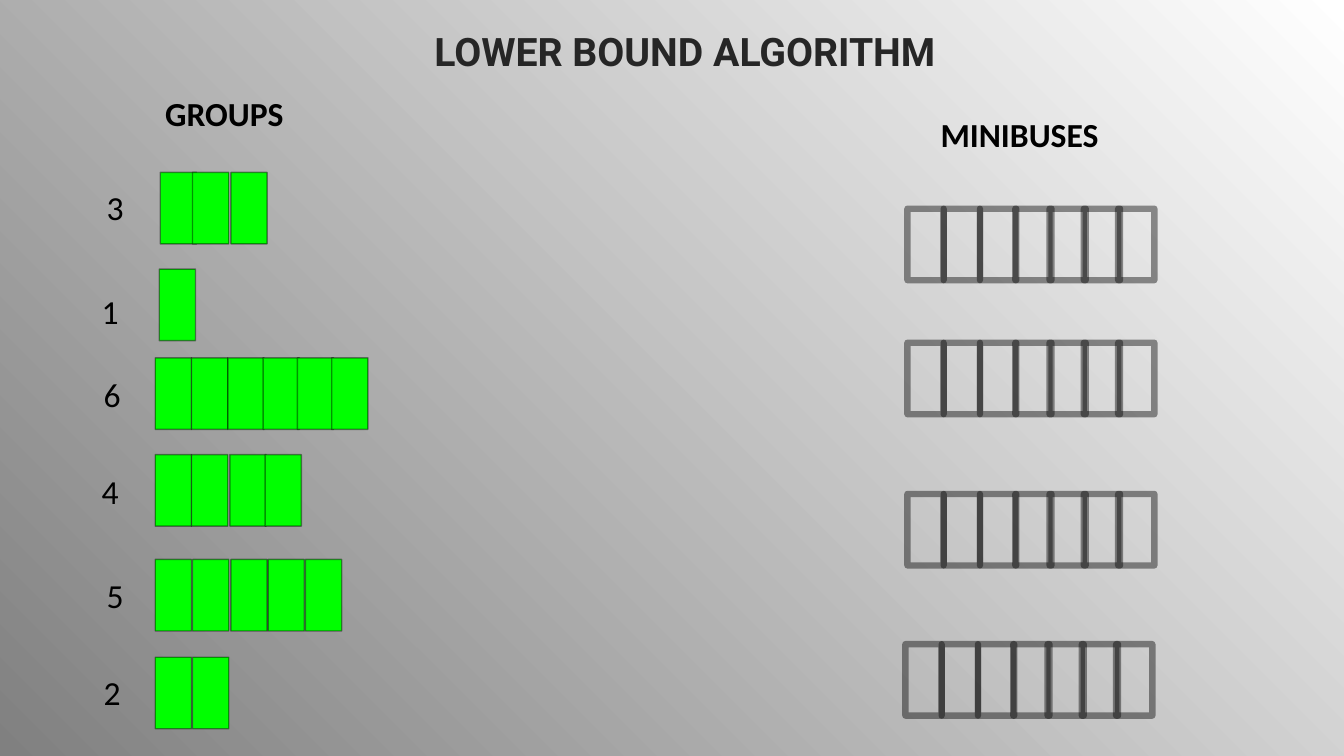
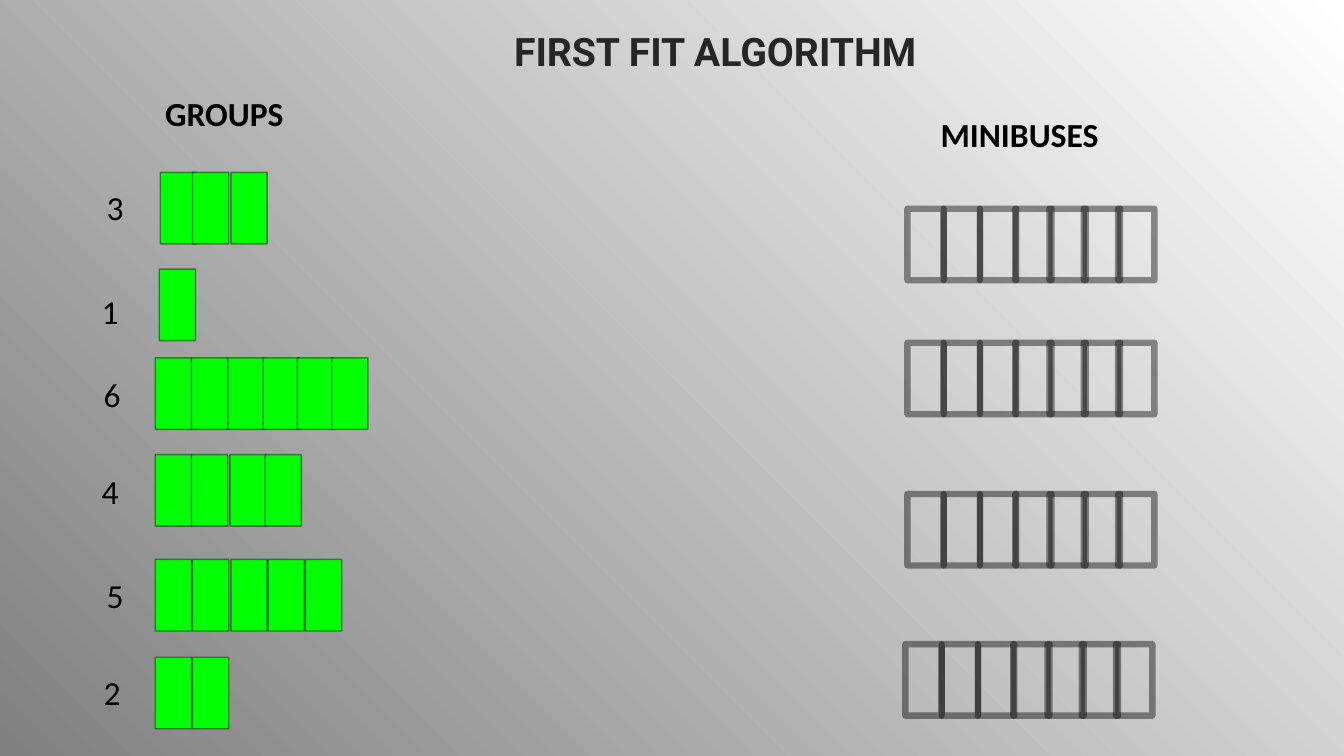
"""Build two slides that set groups of riders against empty minibuses."""
from lxml import etree
from pptx import Presentation
from pptx.dml.color import RGBColor
from pptx.enum.shapes import MSO_SHAPE
from pptx.enum.text import MSO_AUTO_SIZE
from pptx.oxml import parse_xml
from pptx.oxml.ns import qn
from pptx.util import Inches, Pt

RECT = MSO_SHAPE.RECTANGLE
GROW = MSO_AUTO_SIZE.SHAPE_TO_FIT_TEXT

TITLES = [("LOWER BOUND ALGORITHM", 4.21), ("FIRST FIT ALGORITHM", 5)]
HEADS = [("GROUPS", 1.54, 0.87), ("MINIBUSES", 9.23, 1.08)]

WIDE = (0, 0.37, 0.75, 1.12, 1.49)
TIGHT = (0, 0.36, 0.72, 1.07, 1.41, 1.75, 2.09)
GROUPS = [
    {"size": 3, "at": (1.59, 1.71), "label": (0.96, 1.81), "steps": (0, 0.32, 0.7)},
    {"size": 1, "at": (1.58, 2.67), "label": (0.91, 2.84), "steps": WIDE},
    {"size": 6, "at": (1.54, 3.55), "label": (0.93, 3.66), "steps": TIGHT},
    {"size": 4, "at": (1.54, 4.51), "label": (0.91, 4.62), "steps": (0, 0.36, 0.74, 1.09)},
    {"size": 5, "at": (1.54, 5.55), "label": (0.96, 5.65), "steps": WIDE},
    {"size": 2, "at": (1.54, 6.52), "label": (0.93, 6.62), "steps": WIDE},
]
BUSES = [(9, 2.07), (9, 3.4), (9, 4.9), (8.98, 6.39)]
SEAT = (0.36, 0.71)

THEME = {
    "dark": "808080", "light": "FFFFFF", "ink": "000000", "title": "262626",
    "rider": "00FF00", "alpha": 42000, "thin": 1, "thick": 4.5,
    "head_font": "Roboto", "body_font": "Calibri", "head_size": 28, "body_size": 24,
}
NS = "http://schemas.openxmlformats.org/drawingml/2006/main"
GRAD = (
    f'<a:gradFill xmlns:a="{NS}" rotWithShape="1"><a:gsLst>'
    f'<a:gs pos="0"><a:srgbClr val="{THEME["dark"]}"/></a:gs>'
    f'<a:gs pos="100000"><a:srgbClr val="{THEME["light"]}"/></a:gs></a:gsLst>'
    '<a:path path="circle"><a:fillToRect t="100000" r="100000"/></a:path></a:gradFill>'
)


def paint(master):
    """Give the master its corner gradient."""
    master.background.fill.solid()
    solid = master.element.find(".//" + qn("p:bgPr") + "/" + qn("a:solidFill"))
    solid.getparent().replace(solid, parse_xml(GRAD))


def write(slide, text, box, size=THEME["body_size"], font=THEME["body_font"],
          color=THEME["ink"], bold=False):
    """Add one line of formatted text."""
    frame = slide.shapes.add_textbox(*map(Inches, box)).text_frame
    frame.word_wrap = True
    frame.auto_size = GROW
    run = frame.paragraphs[0].add_run()
    run.text = text
    run.font.size = Pt(size)
    run.font.name = font
    run.font.bold = bold
    run.font.color.rgb = RGBColor.from_string(color)


def seats(slide, at, steps, width, fill=None):
    """Add a grouped row of seats, one at each step."""
    row = slide.shapes.add_group_shape()
    left, top = at
    for step in steps:
        box = map(Inches, (left + step, top, *SEAT))
        seat = row.shapes.add_shape(RECT, *box)
        seat.shadow.inherit = False
        if fill:
            seat.fill.solid()
            seat.fill.fore_color.rgb = RGBColor.from_string(fill)
        else:
            seat.fill.background()
        seat.line.width = Pt(width)
        seat.line.color.rgb = RGBColor.from_string(THEME["ink"])
        tint = seat.line._get_or_add_ln().find(".//" + qn("a:srgbClr"))
        etree.SubElement(tint, qn("a:alpha")).set("val", str(THEME["alpha"]))


def build(slide, title, left):
    """Fill one slide."""
    write(slide, title, (left, 0.22, 6.38, 0.57), size=THEME["head_size"],
          font=THEME["head_font"], color=THEME["title"], bold=True)
    for text, x, y in HEADS:
        write(slide, text, (x, y, 2.01, 0.5), bold=True)
    for group in GROUPS:
        size = group["size"]
        seats(slide, group["at"], group["steps"][:size], THEME["thin"], THEME["rider"])
        write(slide, str(size), (*group["label"], 0.41, 0.5))
    for at in BUSES:
        seats(slide, at, TIGHT, THEME["thick"])


def main():
    """Make and save the deck."""
    deck = Presentation()
    deck.slide_width, deck.slide_height = Inches(13.33), Inches(7.5)
    paint(deck.slide_master)
    for title, left in TITLES:
        build(deck.slides.add_slide(deck.slide_layouts[6]), title, left)
    deck.save("out.pptx")


if __name__ == "__main__":
    main()
